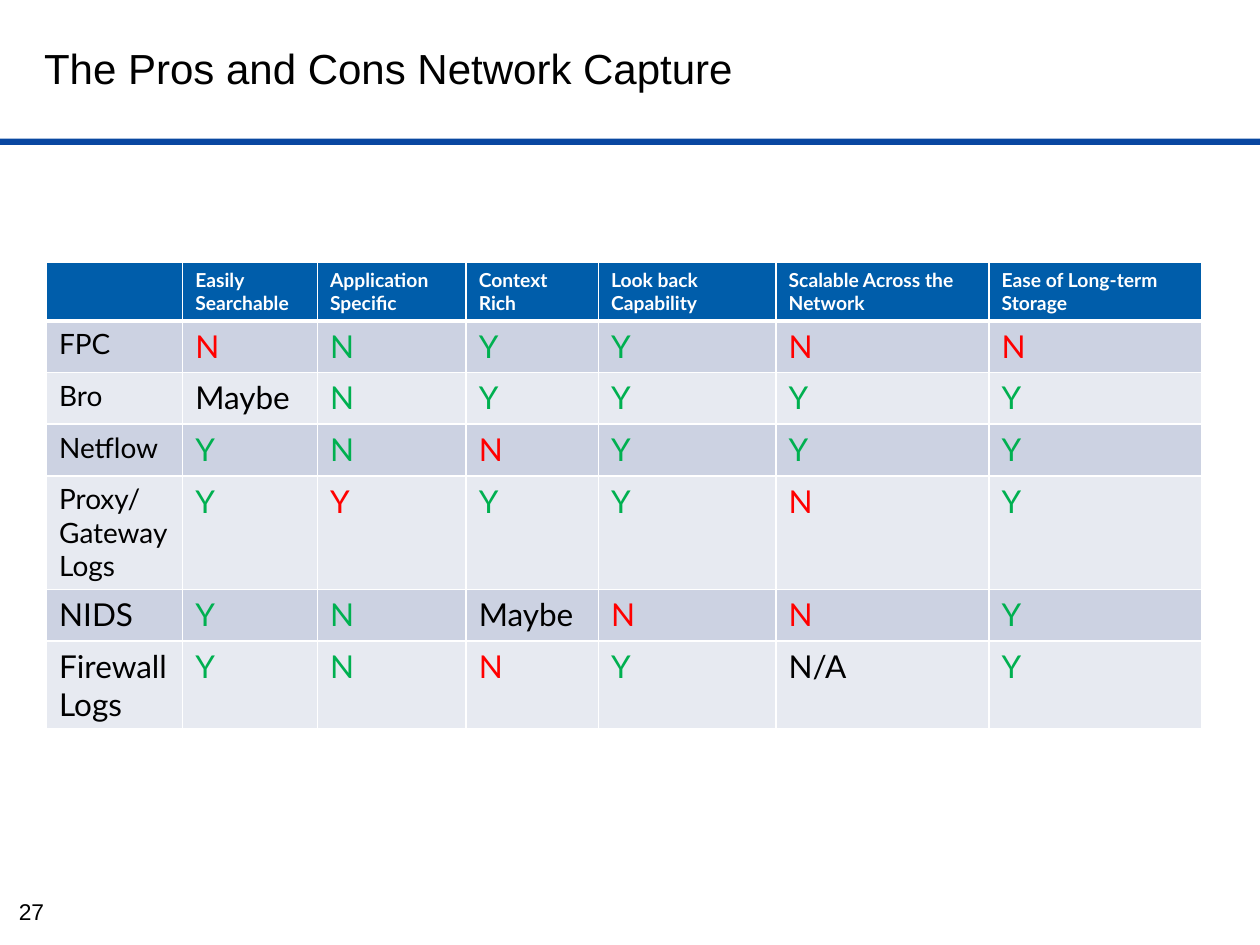
"""Build a slide with a table comparing network capture sources."""
from lxml.etree import SubElement
from pptx import Presentation
from pptx.dml.color import RGBColor as RGB
from pptx.enum.shapes import MSO_SHAPE as SHAPE
from pptx.enum.text import MSO_ANCHOR as ANCHOR, MSO_AUTO_SIZE as FIT, PP_ALIGN as ALIGN
from pptx.oxml.ns import qn
from pptx.util import Inches, Pt

COLORS = {"bar": "0947A1", "header": "005DAA", "odd": "CCD2E2", "even": "E7EAF1",
          "good": "00B050", "bad": "FF0000", "black": "000000", "white": "FFFFFF"}


def put_text(tf, text, font="Lato", size=18, color="black", bold=False, align=ALIGN.LEFT):
    for i, line in enumerate(text.split("\n")):
        p = tf.add_paragraph() if i else tf.paragraphs[0]
        p.alignment = align
        r = p.add_run()
        r.text = line
        r.font.name, r.font.size, r.font.bold = font, Pt(size), bold
        r.font.color.rgb = RGB.from_string(COLORS[color])


def set_border(cell, side, width):
    ln = SubElement(cell._tc.get_or_add_tcPr(), qn(f"a:ln{side}"), w=str(Pt(width)))
    fill = SubElement(ln, qn("a:solidFill"))
    SubElement(fill, qn("a:srgbClr"), val=COLORS["white"])


prs = Presentation()
prs.slide_width, prs.slide_height = Inches(10), Inches(7.5)
W, H = prs.slide_width, prs.slide_height
s = prs.slides.add_slide(prs.slide_layouts[5])

bar = s.shapes.add_shape(SHAPE.RECTANGLE, 0, Inches(1.1), W, Inches(0.05))
bar.shadow.inherit = False
bar.fill.solid()
bar.fill.fore_color.rgb = RGB.from_string(COLORS["bar"])
bar.line.fill.background()

title = s.shapes.title
title.left, title.top = Inches(0.25), Inches(0.08)
title.width, title.height = Inches(7.33), Inches(0.92)
title.text_frame.vertical_anchor = ANCHOR.MIDDLE
put_text(title.text_frame, "The Pros and Cons Network Capture", font="Arial", size=24)

number = s.shapes.add_textbox(Inches(0.03), Inches(7.08), Inches(0.44), Inches(0.33))
tf = number.text_frame
tf.word_wrap, tf.auto_size = False, FIT.SHAPE_TO_FIT_TEXT
tf.margin_left = tf.margin_right = Inches(0.11)
put_text(tf, "27", font="Arial", size=13, align=ALIGN.CENTER)

headers = ["", "Easily Searchable", "Application Specific", "Context Rich",
           "Look back Capability", "Scalable Across the Network", "Ease of Long-term Storage"]
sources = [
    ("FPC", 16, "N N Y Y N N"),
    ("Bro", 16, "Maybe N Y Y Y Y"),
    ("Netflow", 16, "Y N N Y Y Y"),
    ("Proxy/\nGateway Logs", 16, "Y Y Y Y N Y"),
    ("NIDS", 18, "Y N Maybe N N Y"),
    ("Firewall Logs", 18, "Y N N Y N/A Y"),
]
rows = [headers] + [[name, *answers.split()] for name, _, answers in sources]
col_widths = [1.08, 1.07, 1.18, 1.05, 1.41, 1.69, 1.69]
row_height = Inches(0.41)
inverted_col = headers.index("Application Specific")

table = s.shapes.add_table(len(rows), len(headers), Inches(0.37), Inches(2.08),
                           Inches(sum(col_widths)), row_height * len(rows)).table
for col, width in zip(table.columns, col_widths):
    col.width = Inches(width)

for i, row in enumerate(rows):
    table.rows[i].height = row_height
    for j, text in enumerate(row):
        cell = table.cell(i, j)
        for side in "LRTB":
            set_border(cell, side, 3 if (i, side) in [(0, "B"), (1, "T")] else 1)
        band = "header" if i == 0 else "odd" if i % 2 else "even"
        cell.fill.solid()
        cell.fill.fore_color.rgb = RGB.from_string(COLORS[band])
        if i == 0:
            style = {"size": 11, "color": "white", "bold": True}
        elif j == 0:
            style = {"size": sources[i - 1][1]}
        elif text in ("Y", "N"):
            wanted = "N" if j == inverted_col else "Y"
            style = {"color": "good" if text == wanted else "bad"}
        else:
            style = {}
        if text:
            put_text(cell.text_frame, text, **style)

prs.save("out.pptx")
